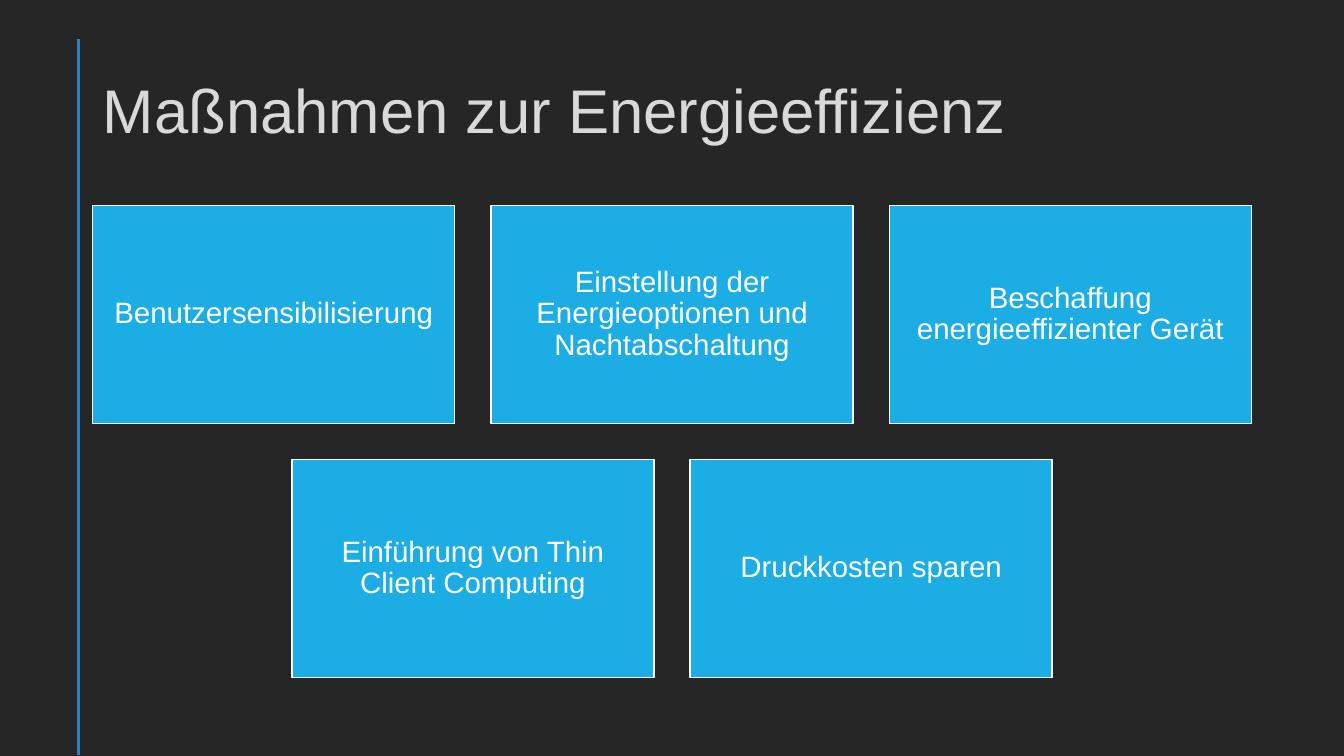
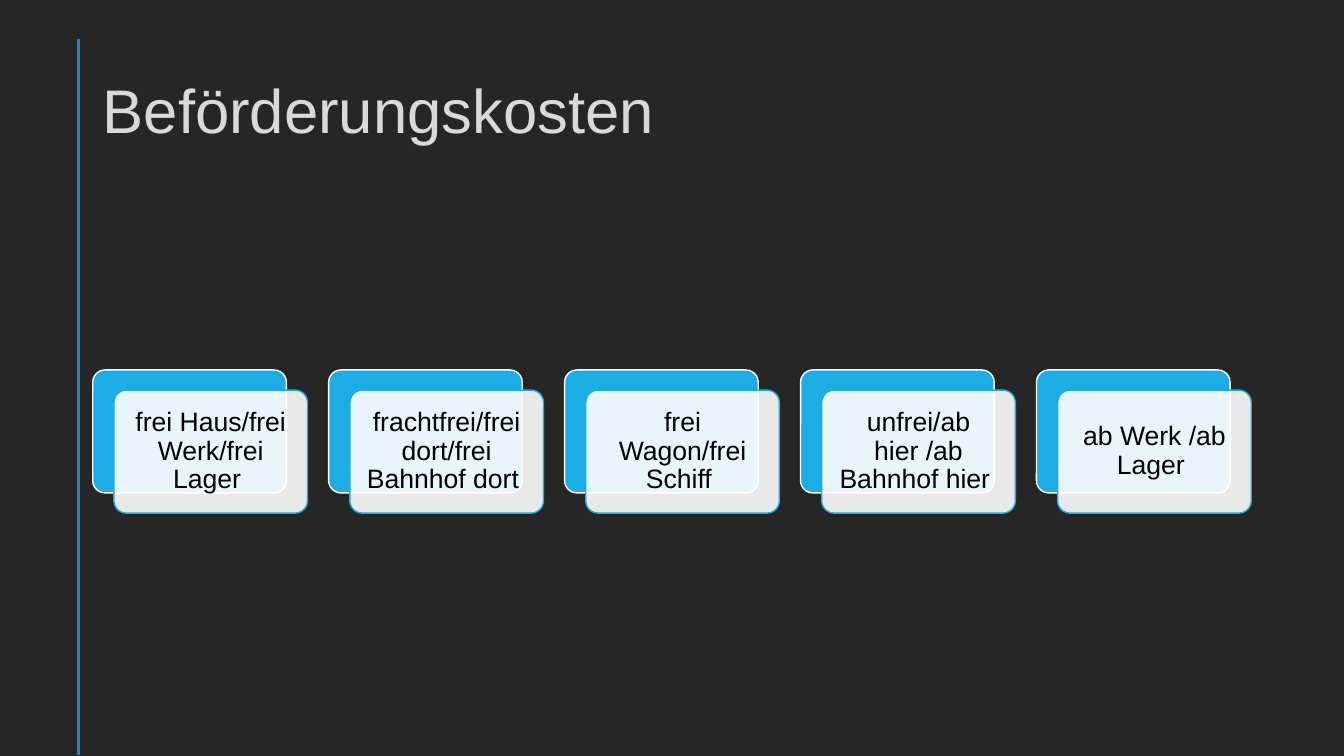
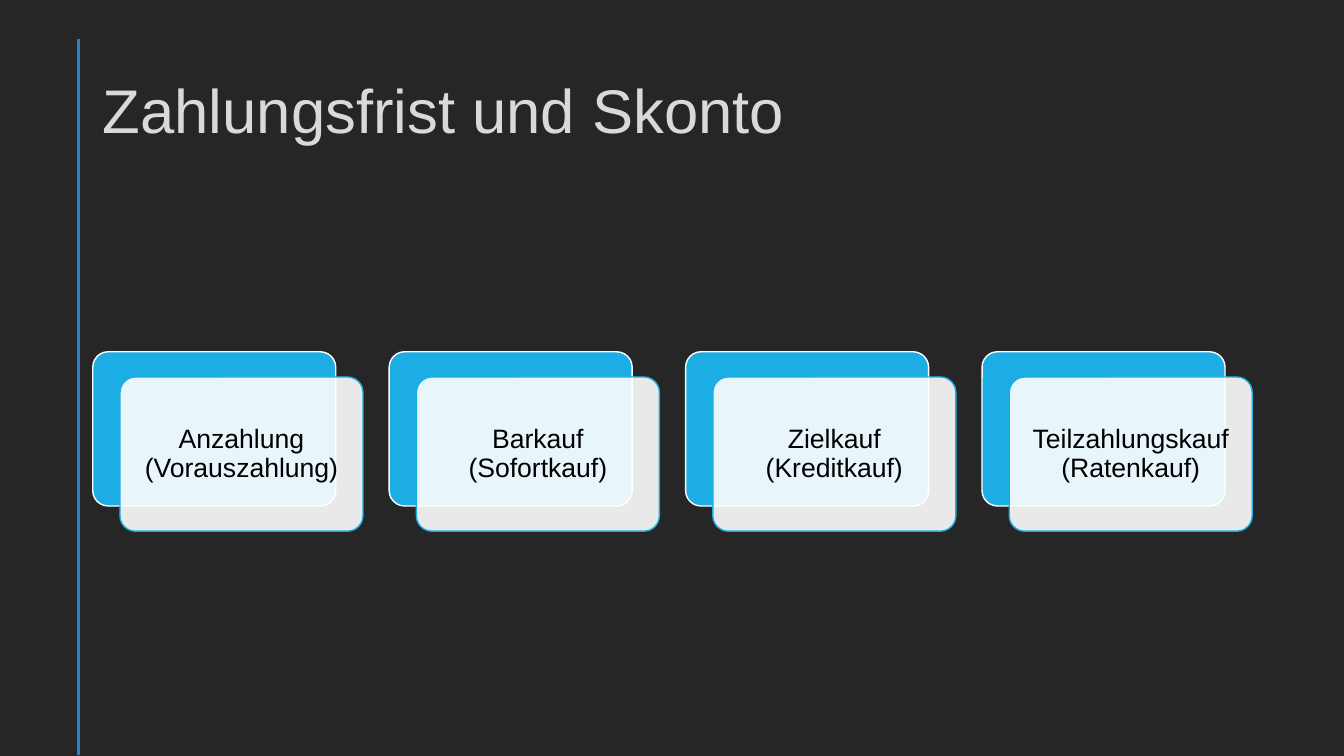
from lxml import etree
from pptx import Presentation
from pptx.dml.color import RGBColor
from pptx.enum.shapes import MSO_CONNECTOR, MSO_SHAPE
from pptx.enum.text import MSO_ANCHOR, MSO_AUTO_SIZE, PP_ALIGN
from pptx.oxml.ns import qn
from pptx.util import Inches, Pt

RECT, ROUNDED = MSO_SHAPE.RECTANGLE, MSO_SHAPE.ROUNDED_RECTANGLE
STRAIGHT = MSO_CONNECTOR.STRAIGHT
MIDDLE = MSO_ANCHOR.MIDDLE
NO_AUTOFIT = MSO_AUTO_SIZE.NONE
LEFT, CENTER = PP_ALIGN.LEFT, PP_ALIGN.CENTER

FONT = "Arial"
DARK, LIGHT_GREY, RULE_BLUE = "262626", "D9D9D9", "2683C6"
CYAN, WHITE, BLACK = "1CADE4", "FFFFFF", "000000"
MARGIN = 0.92

rgb = RGBColor.from_string

prs = Presentation()
prs.slide_width, prs.slide_height = Inches(13.33), Inches(7.5)
background = prs.slide_master.background.fill
background.solid()
background.fore_color.rgb = rgb(DARK)


def add_slide(title, title_width):
    s = prs.slides.add_slide(prs.slide_layouts[5])
    rule = s.shapes.add_connector(STRAIGHT, Inches(0.78), Inches(0.39), Inches(0.78), Inches(7.49))
    rule.line.color.rgb = rgb(RULE_BLUE)
    rule.line.width = Pt(2)
    etree.SubElement(rule.element.spPr, qn("a:effectLst"))

    sp = s.shapes.title
    sp.left, sp.top = Inches(MARGIN), Inches(0.4)
    sp.width, sp.height = Inches(title_width), Inches(1.45)
    tf = sp.text_frame
    tf.text = title
    tf.auto_size = NO_AUTOFIT
    tf.vertical_anchor = MIDDLE
    p = tf.paragraphs[0]
    p.alignment = LEFT
    p.line_spacing = 0.9
    font = p.runs[0].font
    font.name, font.size, font.color.rgb = FONT, Pt(44), rgb(LIGHT_GREY)
    return s


def add_box(s, kind, x, y, w, h, fill, line, text="", size=19, color=BLACK, inset=0.08):
    sp = s.shapes.add_shape(kind, Inches(x), Inches(y), Inches(w), Inches(h))
    sp.shadow.inherit = False
    sp.fill.solid()
    sp.fill.fore_color.rgb = rgb(fill)
    sp.line.color.rgb = rgb(line)
    sp.line.width = Pt(1)
    if kind == ROUNDED:
        sp.adjustments[0] = 0.1
    if text:
        tf = sp.text_frame
        tf.text = text
        tf.word_wrap = True
        tf.vertical_anchor = MIDDLE
        tf.margin_left = tf.margin_right = tf.margin_top = tf.margin_bottom = Inches(inset)
        p = tf.paragraphs[0]
        p.alignment = CENTER
        p.line_spacing = 0.9
        font = p.runs[0].font
        font.name, font.size, font.color.rgb = FONT, Pt(size), rgb(color)
    return sp


# Centred rows of equal tiles
s = add_slide("Maßnahmen zur Energieeffizienz", 11.5)
measure_rows = [
    ["Benutzersensibilisierung",
     "Einstellung der Energieoptionen und Nachtabschaltung",
     "Beschaffung energieeffizienter Gerät"],
    ["Einführung von Thin Client Computing", "Druckkosten sparen"],
]
tile_w, tile_h, gap = 3.59, 2.16, 0.36
for row, measures in enumerate(measure_rows):
    row_w = len(measures) * (tile_w + gap) - gap
    row_left = (13.33 - row_w) / 2
    for col, measure in enumerate(measures):
        add_box(s, RECT, row_left + col * (tile_w + gap), 2.04 + row * (tile_h + gap),
                tile_w, tile_h, CYAN, WHITE, measure, 21, WHITE, 0.09)

# Each card: a cyan plate with a translucent label offset to the lower right
card_slides = [
    ("Beförderungskosten", 3.67, 1.92, 1.22, 2.34, 0.21, 0.2,
     ["frei Haus/frei Werk/frei Lager ", "frachtfrei/frei dort/frei Bahnhof dort ",
      "frei Wagon/frei Schiff ", "unfrei/ab hier /ab Bahnhof hier ", "ab Werk /ab Lager "]),
    ("Zahlungsfrist und Skonto", 3.49, 2.41, 1.53, 2.94, 0.27, 0.25,
     ["Anzahlung (Vorauszahlung)", "Barkauf (Sofortkauf)",
      "Zielkauf (Kreditkauf)", "Teilzahlungskauf (Ratenkauf)"]),
]
for title, top, card_w, card_h, pitch, dx, dy, labels in card_slides:
    s = add_slide(title, 10.76)
    for i, label in enumerate(labels):
        x = MARGIN + i * pitch
        add_box(s, ROUNDED, x, top, card_w, card_h, CYAN, WHITE)
        sp = add_box(s, ROUNDED, x + dx, top + dy, card_w, card_h, WHITE, CYAN, label)
        fill_color = sp.element.spPr.find(qn("a:solidFill")).find(qn("a:srgbClr"))
        etree.SubElement(fill_color, qn("a:alpha"), val="90000")

prs.save("out.pptx")
